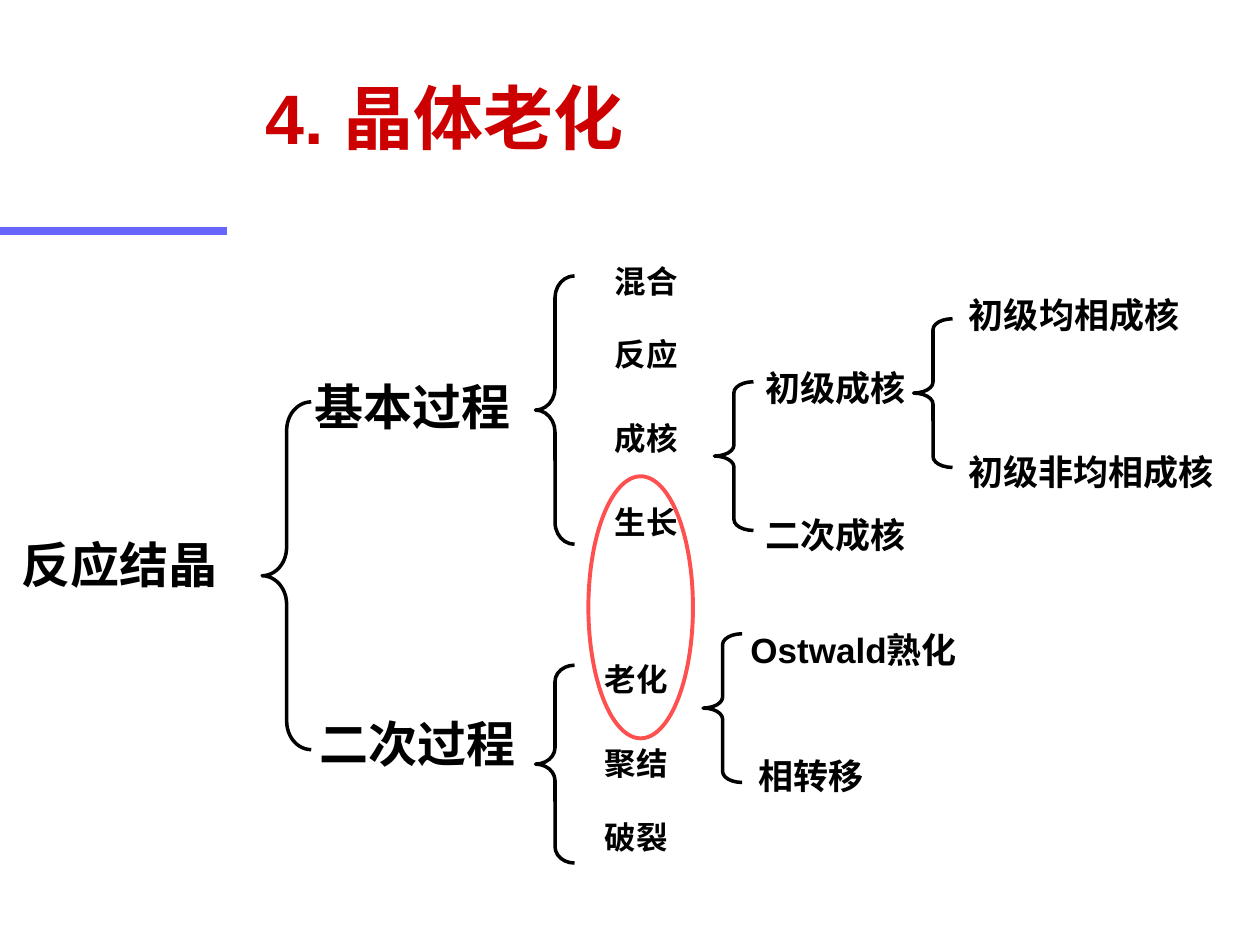
from lxml import etree
from pptx import Presentation
from pptx.dml.color import RGBColor
from pptx.enum.shapes import MSO_CONNECTOR, MSO_SHAPE
from pptx.enum.text import MSO_ANCHOR, PP_ALIGN
from pptx.oxml.ns import qn
from pptx.util import Inches, Pt

STRAIGHT = MSO_CONNECTOR.STRAIGHT
BRACE = MSO_SHAPE.LEFT_BRACE
OVAL = MSO_SHAPE.OVAL
LEFT = PP_ALIGN.LEFT
CENTER = PP_ALIGN.CENTER
MIDDLE = MSO_ANCHOR.MIDDLE

FONT = "Arial"
COLORS = {"title": "CC0000", "text": "000000", "rule": "6666FF", "highlight": "FF5050"}

TERMS = [
    (28, 0.57, [
        ("反应结晶", 0, 4.19, 1.89),
        ("基本过程", 2.25, 2.94, 2.05),
        ("二次过程", 2.25, 5.61, 2.13),
    ]),
    (18, 0.5, [
        ("混合", 4.58, 2.03, 1.1),
        ("反应", 4.58, 2.61, 1.1),
        ("成核", 4.58, 3.28, 1.1),
        ("生长", 4.67, 3.94, 0.92),
        ("老化", 4.5, 5.19, 1.1),
        ("聚结", 4.5, 5.86, 1.1),
        ("破裂", 4.5, 6.44, 1.1),
    ]),
    (20, 0.43, [
        ("初级成核", 5.92, 2.86, 1.42),
        ("二次成核", 5.92, 4.03, 1.42),
        ("初级均相成核", 7.58, 2.28, 1.89),
        ("初级非均相成核", 7.58, 3.53, 2.16),
        ("Ostwald熟化", 5.83, 4.94, 1.89),
    ]),
]

BRACES = [
    (2.08, 3.19, 0.39, 2.76, 0.58),
    (4.25, 2.19, 0.31, 2.13, 0.56),
    (4.25, 5.28, 0.31, 1.57, 0.42),
    (5.67, 3.03, 0.31, 1.18, 0.28),
    (7.25, 2.53, 0.31, 1.18, 0.28),
    (5.58, 5.03, 0.31, 1.18, 0.28),
]


def color(name):
    return RGBColor.from_string(COLORS[name])


def write(frame, text, size=20, tone="text", align=CENTER):
    frame.word_wrap = True
    paragraph = frame.paragraphs[0]
    paragraph.alignment = align
    run = paragraph.add_run()
    run.text = text
    run.font.name = FONT
    run.font.size = Pt(size)
    run.font.bold = True
    run.font.color.rgb = color(tone)


def add_title(slide, text):
    title = slide.shapes.title
    title.left, title.top = Inches(2.01), Inches(0.3)
    title.width, title.height = Inches(7.49), Inches(1.25)
    title.text_frame.vertical_anchor = MIDDLE
    write(title.text_frame, text, size=40, tone="title", align=LEFT)


def add_rule(slide):
    rule = slide.shapes.add_connector(
        STRAIGHT, Inches(0), Inches(1.83), Inches(1.8), Inches(1.83))
    rule.line.color.rgb = color("rule")
    rule.line.width = Pt(4.5)
    etree.SubElement(rule._element.spPr, qn("a:effectLst"))


def add_term(slide, text, left, top, width, height, **style):
    term = slide.shapes.add_textbox(
        Inches(left), Inches(top), Inches(width), Inches(height))
    write(term.text_frame, text, **style)


def add_outline(slide, kind, left, top, width, height, tone="text", weight=2):
    outline = slide.shapes.add_shape(
        kind, Inches(left), Inches(top), Inches(width), Inches(height))
    outline.shadow.inherit = False
    outline.fill.background()
    outline.line.color.rgb = color(tone)
    outline.line.width = Pt(weight)
    return outline


def main():
    deck = Presentation()
    deck.slide_width, deck.slide_height = Inches(10), Inches(7.5)
    slide = deck.slides.add_slide(deck.slide_layouts[5])

    add_rule(slide)
    add_title(slide, "4. 晶体老化")
    for *place, curl in BRACES:
        brace = add_outline(slide, BRACE, *place)
        brace.adjustments[0] = curl
    for size, height, terms in TERMS:
        for text, left, top, width in terms:
            add_term(slide, text, left, top, width, height, size=size)
    add_term(slide, "相转移", 5.92, 5.94, 1.34, 0.43, align=LEFT)
    add_outline(slide, OVAL, 4.67, 3.78, 0.83, 2.08, tone="highlight", weight=2.25)

    deck.save("out.pptx")


if __name__ == "__main__":
    main()
